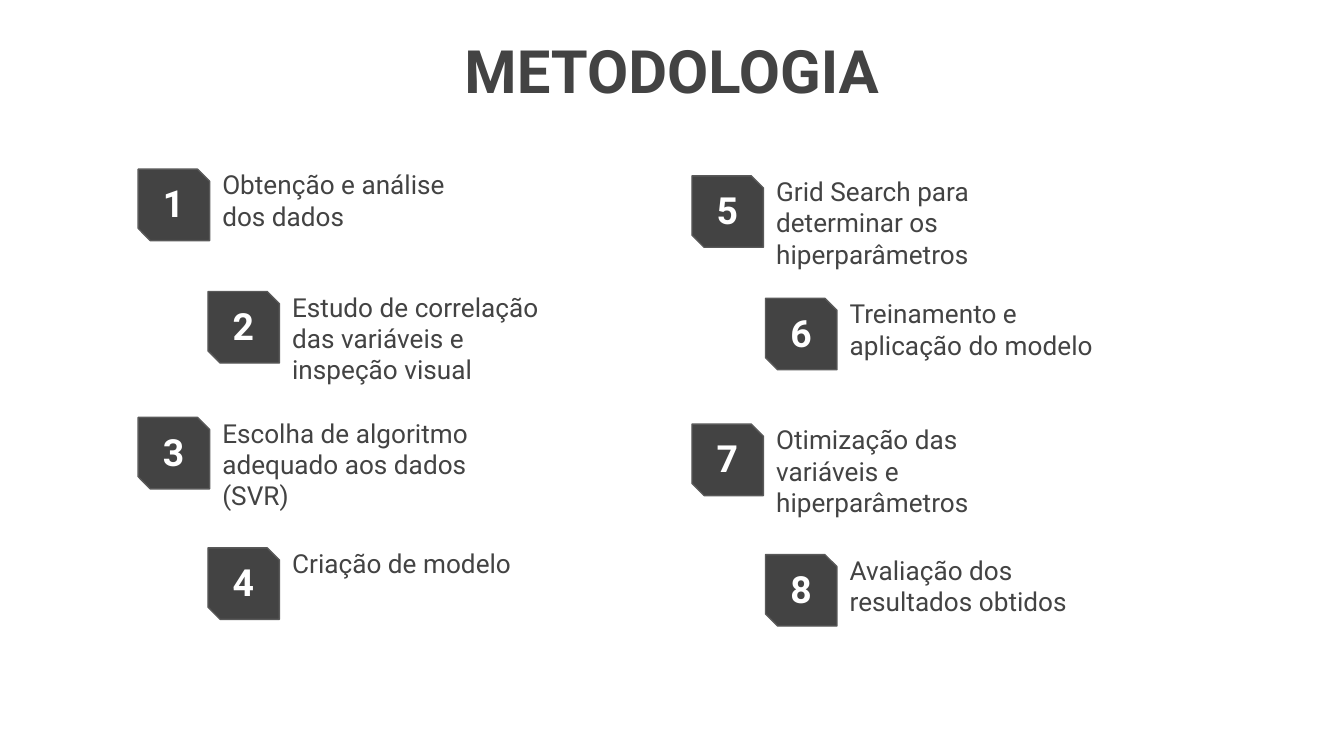
from pptx import Presentation
from pptx.dml.color import RGBColor as RGB
from pptx.enum.shapes import MSO_SHAPE as SHAPE
from pptx.enum.text import MSO_ANCHOR as ANCHOR, MSO_AUTO_SIZE as FIT, PP_ALIGN as ALIGN
from pptx.util import Pt

COLORS = {"dark": "434343", "outline": "595959", "white": "FFFFFF"}


class Deck:
    font = "Roboto"
    badge_size = 38.3

    def __init__(self, width, height):
        self.prs = Presentation()
        self.prs.slide_width, self.prs.slide_height = Pt(width), Pt(height)
        self.s = self.prs.slides.add_slide(self.prs.slide_layouts[6])

    def text(self, text, x, y, w, h, size, color="dark", bold=False,
             align=ALIGN.CENTER, inset_y=7.2, fit=FIT.NONE):
        sp = self.s.shapes.add_textbox(Pt(x), Pt(y), Pt(w), Pt(h))
        tf = sp.text_frame
        tf.text = text
        tf.word_wrap = True
        tf.auto_size = fit
        tf.vertical_anchor = ANCHOR.TOP
        tf.margin_left = tf.margin_right = Pt(7.2)
        tf.margin_top = tf.margin_bottom = Pt(inset_y)
        p = tf.paragraphs[0]
        p.alignment = align
        font = p.runs[0].font
        font.name, font.size, font.bold = self.font, Pt(size), bold
        font.color.rgb = RGB.from_string(COLORS[color])

    def badge(self, number, x, y):
        size = Pt(self.badge_size)
        sp = self.s.shapes.add_shape(SHAPE.SNIP_2_DIAG_RECTANGLE, Pt(x), Pt(y), size, size)
        sp.adjustments[0], sp.adjustments[1] = 0, 0.17
        sp.shadow.inherit = False
        sp.fill.solid()
        sp.fill.fore_color.rgb = RGB.from_string(COLORS["dark"])
        sp.line.color.rgb = RGB.from_string(COLORS["outline"])
        sp.line.width = Pt(0.75)
        self.text(str(number), x - 12, y - 1, 62, 31, 20, "white", bold=True)

    def step(self, number, label, lines, x, y):
        self.badge(number, x, y)
        self.text(label, x + 38, y - 3.8, 154, 7.2 + 17 * lines, 14,
                  align=ALIGN.LEFT, inset_y=3.6, fit=FIT.SHAPE_TO_FIT_TEXT)


# Step text with its number of lines
STEPS = [
    ("Obtenção e análise dos dados", 2),
    ("Estudo de correlação das variáveis e inspeção visual", 3),
    ("Escolha de algoritmo adequado aos dados (SVR)", 3),
    ("Criação de modelo", 1),
    ("Grid Search para determinar os hiperparâmetros", 3),
    ("Treinamento e aplicação do modelo", 2),
    ("Otimização das variáveis e hiperparâmetros", 3),
    ("Avaliação dos resultados obtidos", 2),
]
ROWS = [90.6, 156.2, 223.6, 293.5]
# Each column: left edge, indent of every second step, downward shift
COLUMNS = [(74, 37.4, 0), (370.7, 39.4, 3.6)]

deck = Deck(720, 405)

# Title
deck.text("METODOLOGIA", 154.8, 10.8, 410.4, 74, 32, bold=True)

# Two staggered columns of four steps
for i, (label, lines) in enumerate(STEPS):
    col, row = divmod(i, len(ROWS))
    left, indent, shift = COLUMNS[col]
    deck.step(i + 1, label, lines, left + indent * (row % 2), ROWS[row] + shift)

deck.prs.save("out.pptx")
